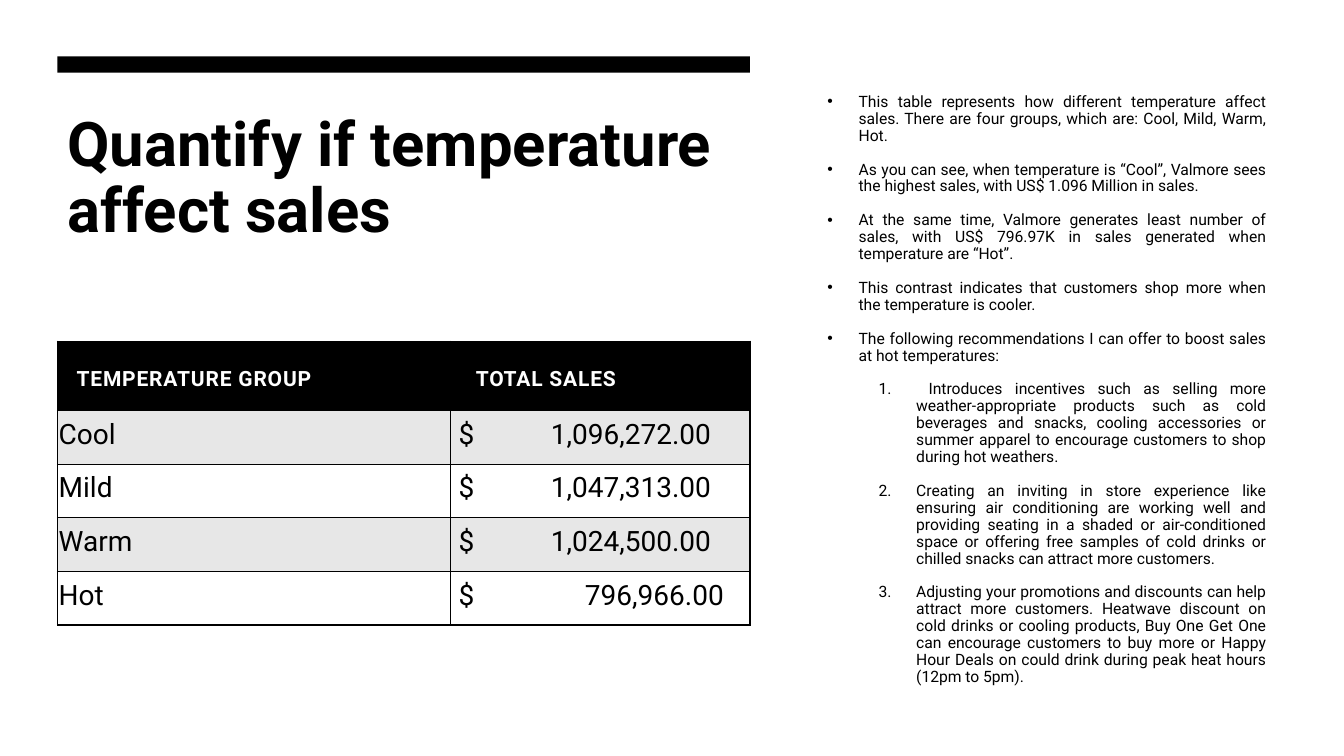
from lxml import etree
from pptx import Presentation
from pptx.dml.color import RGBColor
from pptx.enum.shapes import MSO_SHAPE
from pptx.enum.text import MSO_ANCHOR, PP_ALIGN
from pptx.oxml.ns import qn
from pptx.util import Cm, Pt

BLACK = RGBColor(0x00, 0x00, 0x00)
WHITE = RGBColor(0xFF, 0xFF, 0xFF)
BAND_GREY = RGBColor(0xE7, 0xE7, 0xE7)
RECTANGLE = MSO_SHAPE.RECTANGLE
LEFT = PP_ALIGN.LEFT
JUSTIFY = PP_ALIGN.JUSTIFY
TOP = MSO_ANCHOR.TOP
BOTTOM = MSO_ANCHOR.BOTTOM
FONT = "Roboto"

COLUMN_LEFT = Cm(1.45)
COLUMN_WIDTH = Cm(17.45)

HEADINGS = ["TEMPERATURE GROUP", "TOTAL SALES"]
SALES = [
    ("Cool", "1,096,272.00", Cm(2.32)),
    ("Mild", "1,047,313.00", Cm(2.32)),
    ("Warm", "1,024,500.00", Cm(2.32)),
    ("Hot", "796,966.00", Cm(3.18)),
]
FINDINGS = [
    "This table represents how different temperature affect sales. There are four groups, which are: Cool, Mild, Warm, Hot.",
    "As you can see, when temperature is “Cool”, Valmore sees the highest sales, with US$ 1.096 Million in sales.",
    "At the same time, Valmore generates least number of sales, with US$ 796.97K in sales generated when temperature are “Hot”.",
    "This contrast indicates that customers shop more when the temperature is cooler.",
    "The following recommendations I can offer to boost sales at hot temperatures:",
]
RECOMMENDATIONS = [
    " Introduces incentives such as selling more weather-appropriate products such as cold beverages and snacks, cooling accessories or summer apparel to encourage customers to shop during hot weathers.",
    "Creating an inviting in store experience like ensuring air conditioning are working well and providing seating in a shaded or air-conditioned space or offering free samples of cold drinks or chilled snacks can attract more customers.",
    "Adjusting your promotions and discounts can help attract more customers. Heatwave discount on cold drinks or cooling products, Buy One Get One can encourage customers to buy more or Happy Hour Deals on could drink during peak heat hours (12pm to 5pm).",
]


def write(para, text, size, color=BLACK, bold=False, align=LEFT, line=1.0, gap=0, tracking=0):
    para.alignment = align
    para.line_spacing = line
    para.space_before = para.space_after = Pt(gap)
    span = para.add_run()
    span.text = text
    span.font.name = FONT
    span.font.size = Pt(size)
    span.font.bold = bold
    span.font.color.rgb = color
    if tracking:
        span.font._element.set("spc", str(tracking))


def add_box(page, left, top, width, height):
    frame = page.shapes.add_textbox(left, top, width, height).text_frame
    frame.word_wrap = True
    frame.vertical_anchor = TOP
    return frame


def add_bar(page, left, top, width, height):
    bar = page.shapes.add_shape(RECTANGLE, left, top, width, height)
    bar.shadow.inherit = False
    bar.fill.solid()
    bar.fill.fore_color.rgb = BLACK
    bar.line.fill.background()


def set_marker(para, margin, hanging, numbered):
    properties = para._p.get_or_add_pPr()
    properties.set("marL", str(margin))
    properties.set("indent", str(-hanging))
    etree.SubElement(properties, qn("a:buFont"), typeface=FONT if numbered else "Arial")
    if numbered:
        etree.SubElement(properties, qn("a:buAutoNum"), type="arabicPeriod")
    else:
        etree.SubElement(properties, qn("a:buChar"), char="•")


def add_notes_column(page):
    frame = add_box(page, Cm(20.6), Cm(2.24), Cm(11.56), Cm(14.58))
    items = [(text, False) for text in FINDINGS] + [(text, True) for text in RECOMMENDATIONS]
    for index, (text, numbered) in enumerate(items):
        para = frame.add_paragraph() if index else frame.paragraphs[0]
        write(para, text, 11.2, align=JUSTIFY, line=0.9, gap=6)
        if numbered:
            para.level = 1
            set_marker(para, Cm(2.24), Cm(0.95), True)
        else:
            set_marker(para, Cm(0.79), Cm(0.79), False)


def set_tab(para, position):
    tabs = etree.SubElement(para._p.get_or_add_pPr(), qn("a:tabLst"))
    etree.SubElement(tabs, qn("a:tab"), pos=str(position), algn="l")


def style_cell(cell, fill, left, top, right, bottom):
    cell.margin_left, cell.margin_top = left, top
    cell.margin_right, cell.margin_bottom = right, bottom
    cell.vertical_anchor = BOTTOM
    cell.fill.solid()
    cell.fill.fore_color.rgb = fill
    properties = cell._tc.get_or_add_tcPr()
    for index, side in enumerate(("lnL", "lnR", "lnT", "lnB")):
        border = etree.Element(qn(f"a:{side}"), w=str(Pt(1)))
        solid = etree.SubElement(border, qn("a:solidFill"))
        etree.SubElement(solid, qn("a:srgbClr"), val=str(BLACK))
        properties.insert(index, border)


def add_sales_table(page):
    table = page.shapes.add_table(
        len(SALES) + 1, 2, COLUMN_LEFT, Cm(8.6), COLUMN_WIDTH, Cm(7.15)
    ).table
    table.first_row = table.horz_banding = False
    table.columns[0].width = Cm(9.91)
    table.columns[1].width = COLUMN_WIDTH - Cm(9.91)
    for index, row in enumerate(table.rows):
        row.height = Cm(1.35) if index else Cm(1.75)

    for column, (heading, left) in enumerate(zip(HEADINGS, (Cm(0.48), Cm(0.63)))):
        cell = table.cell(0, column)
        style_cell(cell, BLACK, left, Cm(0.48), Cm(0.48), Cm(0.48))
        write(cell.text_frame.paragraphs[0], heading, 15, color=WHITE, bold=True, tracking=60)

    for index, (group, amount, position) in enumerate(SALES, start=1):
        fill = BAND_GREY if index % 2 else WHITE
        entries = [(group, Cm(0.03)), (f"$\t{amount}", Cm(0.2))]
        for column, (text, left) in enumerate(entries):
            cell = table.cell(index, column)
            style_cell(cell, fill, left, Cm(0.03), Cm(0.03), Cm(0.33))
            write(cell.text_frame.paragraphs[0], text, 20)
        set_tab(table.cell(index, 1).text_frame.paragraphs[0], position)


def main():
    deck = Presentation()
    deck.slide_width, deck.slide_height = Cm(33.87), Cm(19.05)
    page = deck.slides.add_slide(deck.slide_layouts[6])
    page.background.fill.solid()
    page.background.fill.fore_color.rgb = WHITE

    title = add_box(page, COLUMN_LEFT, Cm(2.72), Cm(17.5), Cm(3.68))
    write(title.paragraphs[0], "Quantify if temperature affect sales", 44, bold=True, line=0.9)
    add_notes_column(page)
    add_bar(page, COLUMN_LEFT, Cm(1.42), COLUMN_WIDTH, Cm(0.41))
    add_sales_table(page)
    deck.save("out.pptx")


if __name__ == "__main__":
    main()
